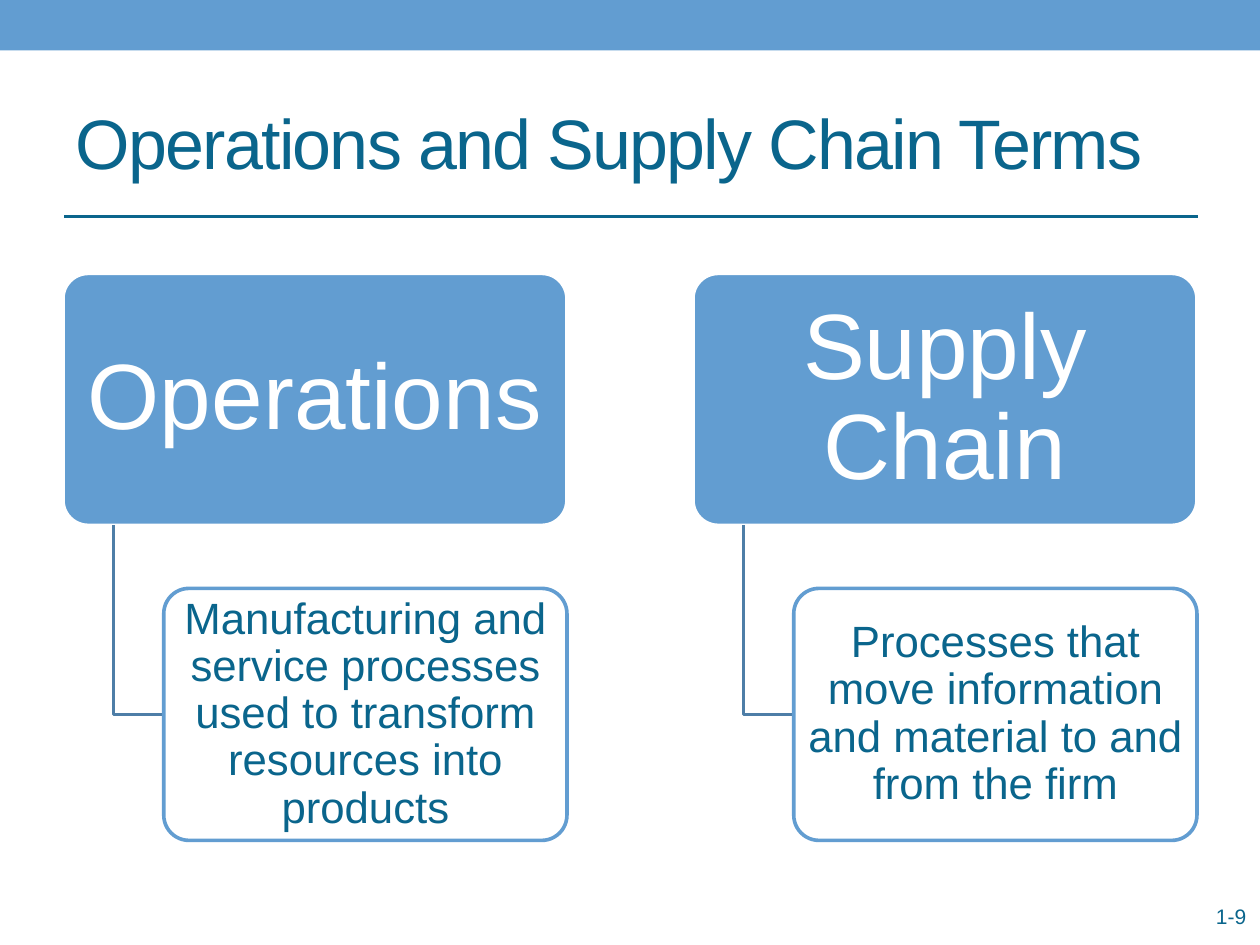
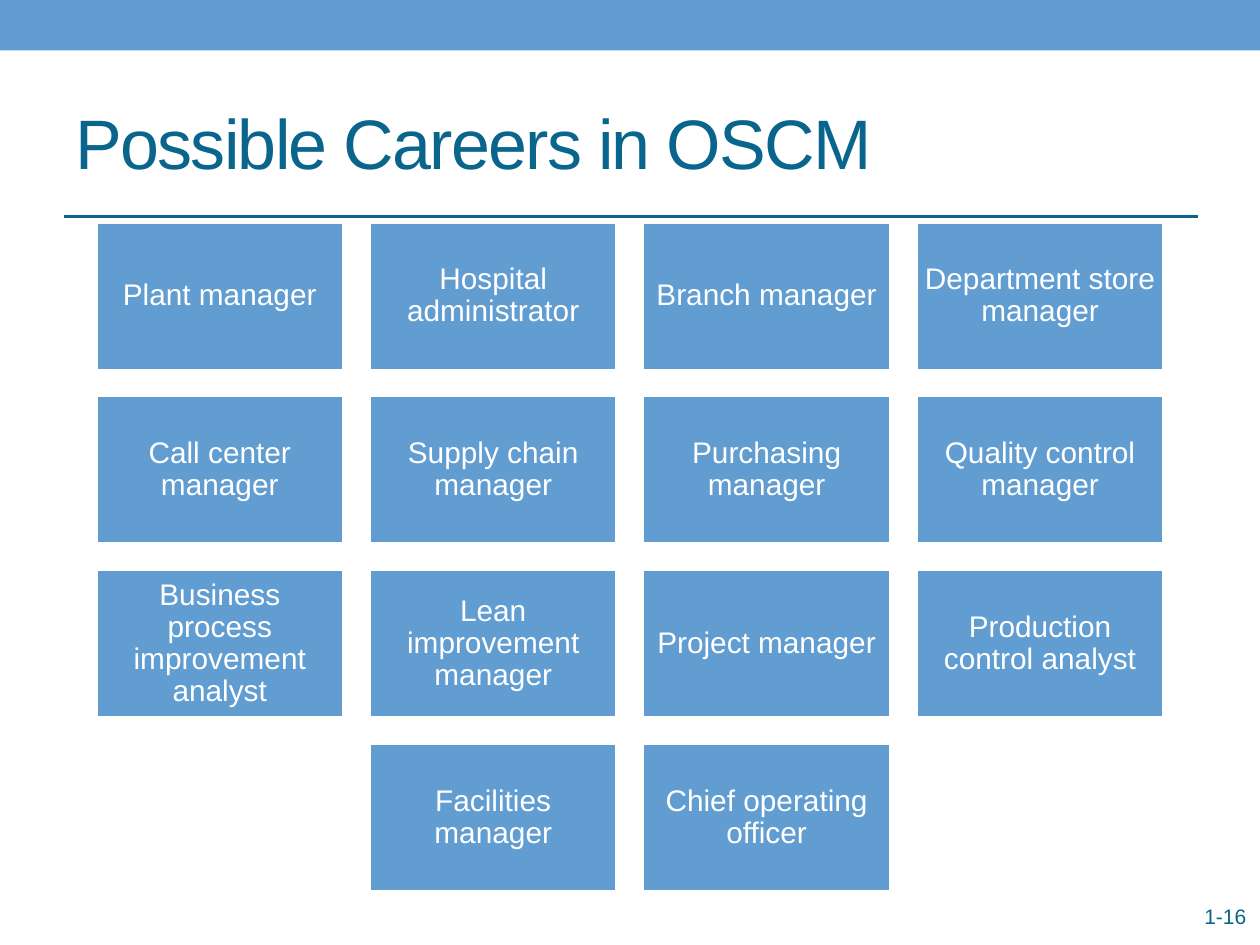
from pptx import Presentation
from pptx.dml.color import RGBColor
from pptx.enum.shapes import MSO_CONNECTOR, MSO_SHAPE
from pptx.enum.text import MSO_ANCHOR, MSO_AUTO_SIZE, PP_ALIGN
from pptx.oxml.ns import qn
from pptx.util import Inches, Pt
from lxml import etree

RECT, ROUNDED = MSO_SHAPE.RECTANGLE, MSO_SHAPE.ROUNDED_RECTANGLE
STRAIGHT = MSO_CONNECTOR.STRAIGHT
MIDDLE = MSO_ANCHOR.MIDDLE
NO_FIT = MSO_AUTO_SIZE.NONE
LEFT, CENTER, RIGHT = PP_ALIGN.LEFT, PP_ALIGN.CENTER, PP_ALIGN.RIGHT

BLUE = RGBColor(0x62, 0x9D, 0xD1)
TEAL = RGBColor(0x0A, 0x65, 0x8C)
STEEL = RGBColor(0x4E, 0x7E, 0xA7)
WHITE = RGBColor(0xFF, 0xFF, 0xFF)

FONT = "Arial"
SLIDE_W, SLIDE_H = 10, 7.5
BORDER = Pt(2.08)

TERMS = [
    ("Operations",
     "Manufacturing and service processes used to transform resources into products"),
    ("Supply Chain",
     "Processes that move information and material to and from the firm"),
]
CAREERS = [
    ["Plant manager", "Hospital administrator", "Branch manager",
     "Department store manager"],
    ["Call center manager", "Supply chain manager", "Purchasing manager",
     "Quality control manager"],
    ["Business process improvement analyst", "Lean improvement manager",
     "Project manager", "Production control analyst"],
    ["Facilities manager", "Chief operating officer"],
]


def place(sp, left, top, width, height):
    sp.left, sp.top = Inches(left), Inches(top)
    sp.width, sp.height = Inches(width), Inches(height)


def write(tf, text, size, color, align):
    tf.word_wrap = True
    p = tf.paragraphs[0]
    p.alignment = align
    r = p.add_run()
    r.text = text
    r.font.name, r.font.size = FONT, Pt(size)
    r.font.color.rgb = color
    return r


def add_box(s, kind, left, top, width, height, fill, line=None):
    sp = s.shapes.add_shape(kind, Inches(left), Inches(top), Inches(width), Inches(height))
    sp.shadow.inherit = False
    sp.fill.solid()
    sp.fill.fore_color.rgb = fill
    if line is None:
        sp.line.fill.background()
    else:
        sp.line.color.rgb = line
        sp.line.width = BORDER
    if kind == ROUNDED:
        sp.adjustments[0] = 0.1
    return sp


def label_box(sp, text, size, color, inset_x, inset_y):
    tf = sp.text_frame
    tf.vertical_anchor = MIDDLE
    tf.margin_left = tf.margin_right = Inches(inset_x)
    tf.margin_top = tf.margin_bottom = Inches(inset_y)
    write(tf, text, size, color, CENTER)
    tf.paragraphs[0].line_spacing = 0.9


def add_elbow(s, left, top, width, height):
    """Draw an open line that goes down and then right."""
    x, y = Inches(left), Inches(top)
    corner_y = y + Inches(height)
    builder = s.shapes.build_freeform(x, y)
    builder.add_line_segments([(x, corner_y), (x + Inches(width), corner_y)], close=False)
    sp = builder.convert_to_shape()
    sp.shadow.inherit = False
    sp.fill.background()
    sp.line.color.rgb = STEEL
    sp.line.width = BORDER


def add_rule(s):
    rule = s.shapes.add_connector(STRAIGHT, Inches(0.51), Inches(1.72),
                                  Inches(9.51), Inches(1.72))
    rule.line.color.rgb = TEAL
    rule.line.width = Pt(1.5)
    etree.SubElement(rule._element.spPr, qn("a:effectLst"))


def add_slide(prs, title, number):
    s = prs.slides.add_slide(prs.slide_layouts[5])
    add_box(s, RECT, 0, 0, SLIDE_W, 0.4, BLUE)
    add_rule(s)

    place(s.shapes.title, 0.5, 0.58, 9, 1.08)
    tf = s.shapes.title.text_frame
    tf.auto_size = NO_FIT
    tf.vertical_anchor = MIDDLE
    r = write(tf, title, 40, TEAL, LEFT)
    r.font._element.set("spc", "-100")

    box = s.shapes.add_textbox(Inches(8.82), Inches(7.12), Inches(1.17), Inches(0.36))
    write(box.text_frame, number, 12, TEAL, RIGHT)
    return s


def add_term(s, left, term, definition):
    head = add_box(s, ROUNDED, left, 2.17, 4, 2, BLUE, WHITE)
    label_box(head, term, 53, WHITE, 0.11, 0.07)
    add_elbow(s, left + 0.4, 4.17, 0.4, 1.5)
    body = add_box(s, ROUNDED, left + 0.8, 4.67, 3.2, 2, WHITE, BLUE)
    label_box(body, definition, 25, TEAL, 0.05, 0.03)


def add_career_grid(s, rows):
    """Lay out the rows of tiles, each row centred on the slide."""
    width, height, gap, top = 1.97, 1.18, 0.2, 1.76
    for i, row in enumerate(rows):
        left = (SLIDE_W - len(row) * (width + gap) + gap) / 2
        for j, career in enumerate(row):
            tile = add_box(s, RECT, left + j * (width + gap), top + i * (height + gap),
                           width, height, BLUE, WHITE)
            label_box(tile, career, 17, WHITE, 0.07, 0.07)


def main():
    prs = Presentation()
    prs.slide_width, prs.slide_height = Inches(SLIDE_W), Inches(SLIDE_H)

    s = add_slide(prs, "Operations and Supply Chain Terms", "1-9")
    for i, (term, definition) in enumerate(TERMS):
        add_term(s, 0.5 + 5 * i, term, definition)

    s = add_slide(prs, "Possible Careers in OSCM", "1-16")
    add_career_grid(s, CAREERS)

    prs.save("out.pptx")


if __name__ == "__main__":
    main()
